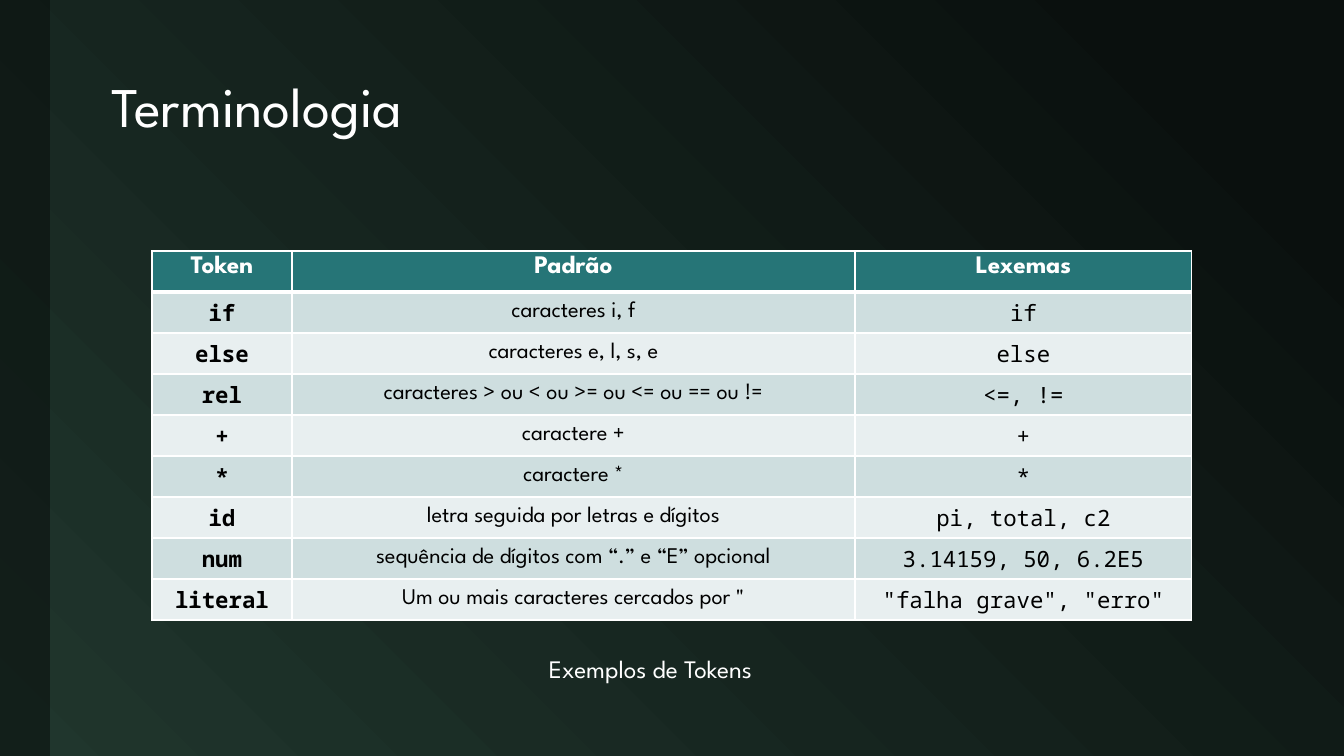
"""Build the "Terminologia" slide with its table of token examples."""
import dataclasses

import lxml.etree
import pptx
import pptx.dml.color
import pptx.enum.shapes
import pptx.enum.text
import pptx.oxml.ns
import pptx.util

TITLE = "Terminologia"
CAPTION = "Exemplos de Tokens"
HEADER = ("Token", "Padrão", "Lexemas")
TOKENS = [
    ("if", "caracteres i, f", "if"),
    ("else", "caracteres e, l, s, e", "else"),
    ("rel", "caracteres > ou < ou >= ou <= ou == ou !=", "<=, !="),
    ("+", "caractere +", "+"),
    ("*", "caractere *", "*"),
    ("id", "letra seguida por letras e dígitos", "pi, total, c2"),
    ("num", "sequência de dígitos com “.” e “E” opcional", "3.14159, 50, 6.2E5"),
    ("literal", 'Um ou mais caracteres cercados por "', '"falha grave", "erro"'),
]

SLIDE_W, SLIDE_H = 1344, 756
SIDEBAR_W = 50
TITLE_BOX = (101, 42, 1174, 134)
TABLE_LEFT, TABLE_TOP = 152, 251
COLUMN_WIDTHS = (140, 563, 337)
ROW_H = 41
CAPTION_BOX = (539, 648, 266, 40)


@dataclasses.dataclass(frozen=True)
class Theme:
    """Colours, fonts and sizes."""
    dark: str = "0A100E"
    green: str = "20362D"
    header: str = "267577"
    bands: tuple = ("CEDEDF", "E8EFF0")
    white: str = "FFFFFF"
    black: str = "000000"
    sans: str = "League Spartan"
    mono: str = "Noto Sans Mono"
    title_size: int = 40
    head_size: int = 18
    cell_size: int = 16
    thin: int = 1
    thick: int = 3


THEME = Theme()


def px(n):
    """Turn pixels into EMU."""
    return pptx.util.Emu(round(n * 914400 / 100.8))


def rgb(value):
    """Turn a hex string into a colour."""
    return pptx.dml.color.RGBColor.from_string(value)


def write(tf, text, size, font=THEME.sans, color=THEME.white, bold=False, align=None):
    """Set one paragraph of text and format its run."""
    tf.text = text
    p = tf.paragraphs[0]
    p.alignment = align
    r = p.runs[0]
    r.font.size = pptx.util.Pt(size)
    r.font.name = font
    r.font.bold = bold
    r.font.color.rgb = rgb(color)


def set_borders(cell, top, bottom):
    """Draw white borders with the given top and bottom widths in points."""
    tc_pr = cell._tc.get_or_add_tcPr()
    widths = {"lnL": THEME.thin, "lnR": THEME.thin, "lnT": top, "lnB": bottom}
    for i, (side, width) in enumerate(widths.items()):
        ln = lxml.etree.Element(pptx.oxml.ns.qn("a:" + side), w=str(pptx.util.Pt(width)))
        fill = lxml.etree.SubElement(ln, pptx.oxml.ns.qn("a:solidFill"))
        lxml.etree.SubElement(fill, pptx.oxml.ns.qn("a:srgbClr"), val=THEME.white)
        tc_pr.insert(i, ln)


def add_background(s):
    """Fill the slide with a diagonal gradient and add the translucent sidebar."""
    fill = s.background.fill
    fill.gradient()
    fill.gradient_angle = 225
    for stop, position, color in zip(fill.gradient_stops, (0.1, 1), (THEME.dark, THEME.green)):
        stop.position = position
        stop.color.rgb = rgb(color)

    rectangle = pptx.enum.shapes.MSO_SHAPE.RECTANGLE
    sp = s.shapes.add_shape(rectangle, 0, 0, px(SIDEBAR_W), px(SLIDE_H))
    sp.shadow.inherit = False
    sp.line.fill.background()
    sp.fill.solid()
    sp.fill.fore_color.rgb = rgb(THEME.dark)
    color = sp.element.spPr.find(".//" + pptx.oxml.ns.qn("a:srgbClr"))
    lxml.etree.SubElement(color, pptx.oxml.ns.qn("a:alpha"), val="60000")
    s.shapes.title.element.addprevious(sp.element)


def add_title(s):
    """Place and format the title."""
    sp = s.shapes.title
    sp.left, sp.top, sp.width, sp.height = map(px, TITLE_BOX)
    tf = sp.text_frame
    tf.vertical_anchor = pptx.enum.text.MSO_ANCHOR.MIDDLE
    write(tf, TITLE, THEME.title_size, align=pptx.enum.text.PP_ALIGN.LEFT)
    tf.paragraphs[0].line_spacing = 0.9


def add_token_table(s):
    """Add the table of tokens, patterns and lexemes."""
    rows = [HEADER, *TOKENS]
    table = s.shapes.add_table(
        len(rows), len(HEADER), px(TABLE_LEFT), px(TABLE_TOP),
        px(sum(COLUMN_WIDTHS)), px(ROW_H * len(rows))).table
    for column, width in zip(table.columns, COLUMN_WIDTHS):
        column.width = px(width)
    center = pptx.enum.text.PP_ALIGN.CENTER
    for i, row in enumerate(rows):
        table.rows[i].height = px(ROW_H)
        for j, text in enumerate(row):
            cell = table.cell(i, j)
            cell.fill.solid()
            if i == 0:
                cell.fill.fore_color.rgb = rgb(THEME.header)
                write(cell.text_frame, text, THEME.head_size, bold=True, align=center)
            else:
                cell.fill.fore_color.rgb = rgb(THEME.bands[(i - 1) % 2])
                cell.vertical_anchor = pptx.enum.text.MSO_ANCHOR.MIDDLE
                font = THEME.sans if j == 1 else THEME.mono
                write(cell.text_frame, text, THEME.cell_size, font, THEME.black, j == 0, center)
            set_borders(cell, THEME.thick if i == 1 else THEME.thin,
                        THEME.thick if i == 0 else THEME.thin)


def add_caption(s):
    """Add the caption below the table."""
    tf = s.shapes.add_textbox(*map(px, CAPTION_BOX)).text_frame
    tf.word_wrap = False
    tf.auto_size = pptx.enum.text.MSO_AUTO_SIZE.SHAPE_TO_FIT_TEXT
    write(tf, CAPTION, THEME.head_size)


def main():
    """Build and save the presentation."""
    prs = pptx.Presentation()
    prs.slide_width, prs.slide_height = px(SLIDE_W), px(SLIDE_H)
    s = prs.slides.add_slide(prs.slide_layouts[5])
    add_background(s)
    add_title(s)
    add_token_table(s)
    add_caption(s)
    prs.save("out.pptx")


if __name__ == "__main__":
    main()
